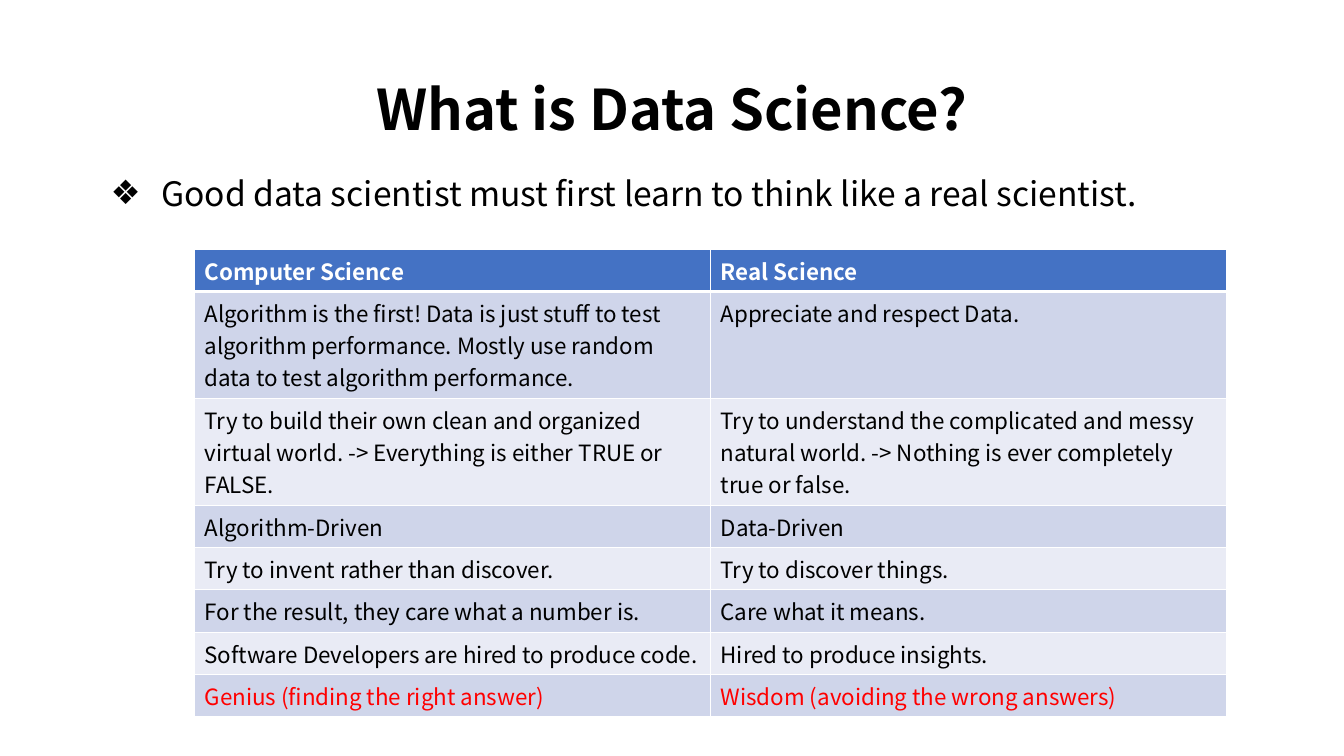
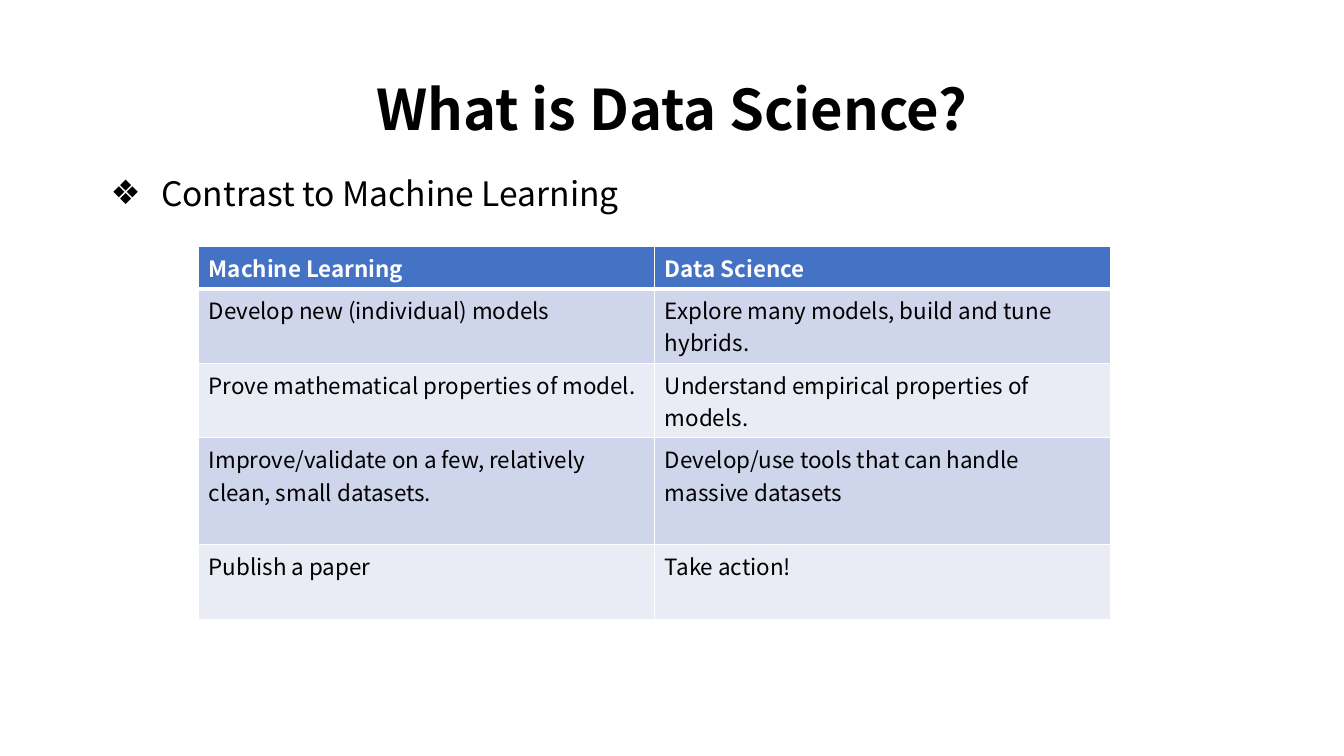
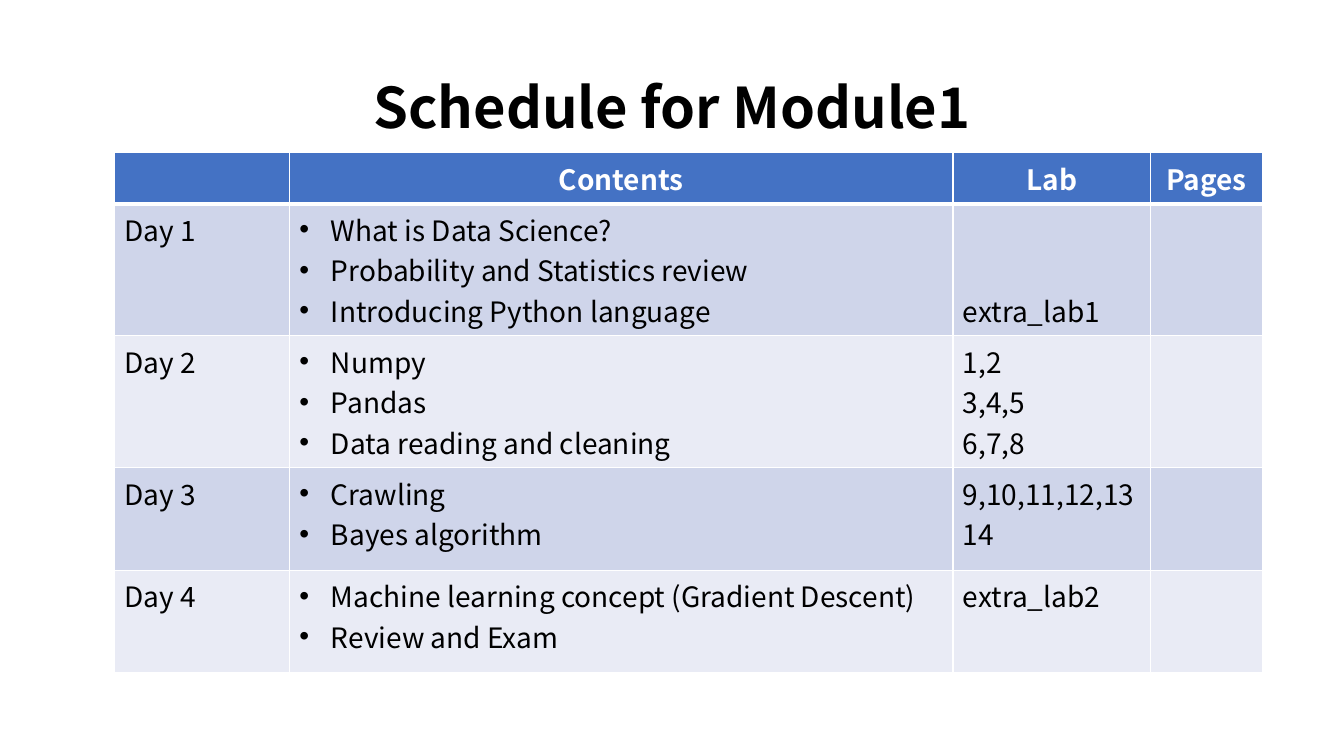
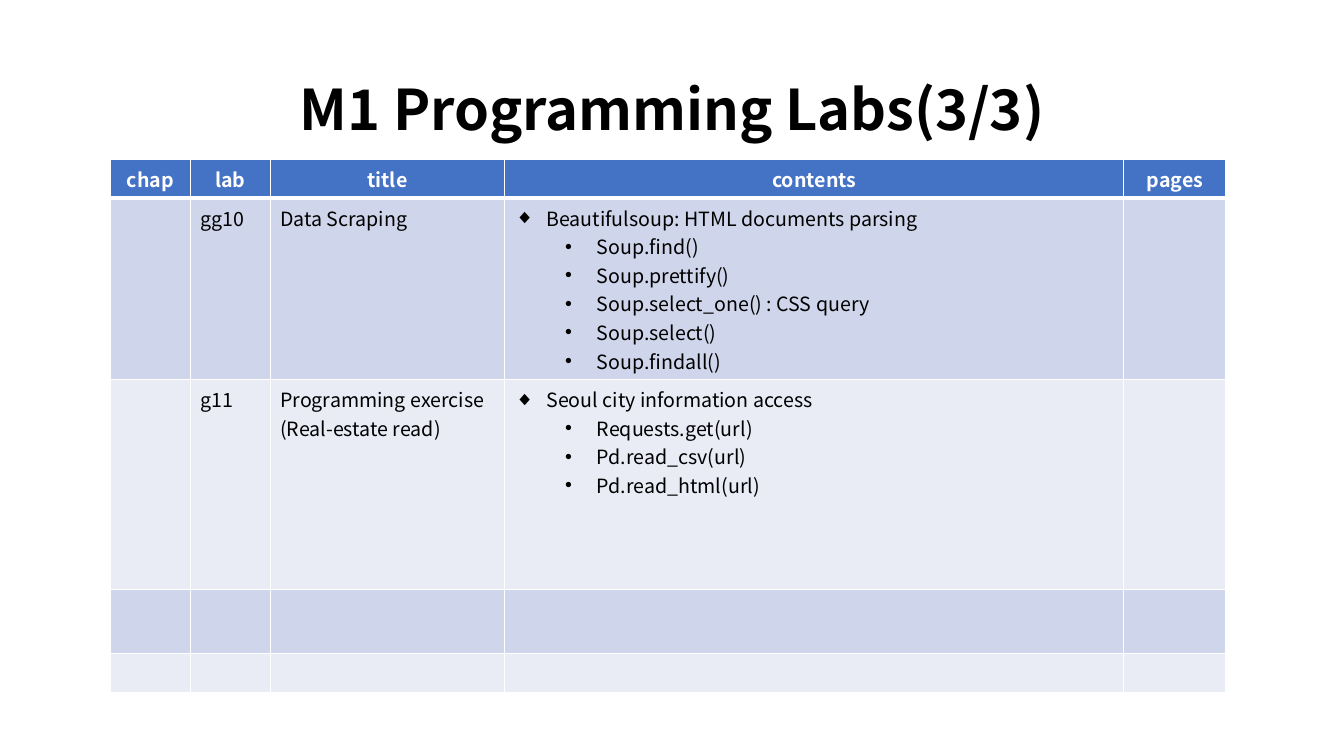
from dataclasses import dataclass

from lxml import etree
from pptx import Presentation
from pptx.dml.color import RGBColor
from pptx.enum.text import MSO_ANCHOR, MSO_AUTO_SIZE, PP_ALIGN
from pptx.oxml.ns import qn
from pptx.util import Pt

LEFT, CENTER = PP_ALIGN.LEFT, PP_ALIGN.CENTER
TOP, BOTTOM = MSO_ANCHOR.TOP, MSO_ANCHOR.BOTTOM
NO_FIT = MSO_AUTO_SIZE.NONE

FONT = "Noto Sans CJK KR"
BLACK, WHITE, RED = "000000", "FFFFFF", "FF0000"
HEAD = "4472C4"
BANDS = ("CFD5EA", "E9EBF5")
HANG = 22.5
DEEP = 58.5


@dataclass(frozen=True)
class Line:
    text: str
    mark: str = ""
    left: float = 0
    hang: float = HANG
    level: int = 0


@dataclass(frozen=True)
class Cell:
    lines: tuple[Line, ...]
    color: str = BLACK
    anchor: int = TOP


@dataclass(frozen=True)
class Grid:
    left: float
    top: float
    cols: tuple[float, ...]
    rows: tuple[float, ...]
    size: float
    heads: tuple[str, ...]
    body: tuple[tuple[Cell, ...], ...]
    align: int = LEFT


@dataclass(frozen=True)
class Page:
    title: str
    grid: Grid
    lead: str = ""
    top: float = 41.8


def plain(*texts: str, color: str = BLACK, anchor: int = TOP) -> Cell:
    return Cell(tuple(Line(text) for text in texts), color, anchor)


def dots(*texts: str) -> Cell:
    return Cell(tuple(Line(text, "•", HANG) for text in texts))


def topic(name: str, *calls: str) -> Cell:
    subs = tuple(Line(call, "•", DEEP, level=1) for call in calls)
    return Cell((Line(name, "◆", HANG), *subs))


def pairs(*rows: tuple[str, str]) -> tuple[tuple[Cell, ...], ...]:
    return tuple(tuple(plain(text) for text in row) for row in rows)


def paint(hue: str) -> RGBColor:
    return RGBColor.from_string(hue)


def bullet(para, line: Line) -> None:
    props = para._p.get_or_add_pPr()
    props.set("marL", str(Pt(line.left)))
    props.set("indent", str(-Pt(line.hang)))
    etree.SubElement(props, qn("a:buFont"), typeface="Arial")
    etree.SubElement(props, qn("a:buChar"), char=line.mark)


def write(frame, lines: tuple[Line, ...], *, size: float, color: str = BLACK,
          bold: bool = False, align: int = LEFT, pitch: float = 1,
          before: float = 0) -> None:
    for num, line in enumerate(lines):
        para = frame.add_paragraph() if num else frame.paragraphs[0]
        para.alignment = align
        para.line_spacing = pitch
        para.space_before = Pt(before)
        para.level = line.level
        if line.mark:
            bullet(para, line)
        if not line.text:
            etree.SubElement(para._p, qn("a:endParaRPr"), sz=str(int(size * 100)))
            continue
        run = para.add_run()
        run.text = line.text
        font = run.font
        font.name, font.size, font.bold = FONT, Pt(size), bold
        font.color.rgb = paint(color)


def edge(cell, base: float) -> None:
    props = cell._tc.get_or_add_tcPr()
    for side, width in (("L", 1), ("R", 1), ("T", 1), ("B", base)):
        rule = etree.SubElement(props, qn(f"a:ln{side}"), w=str(Pt(width)))
        fill = etree.SubElement(rule, qn("a:solidFill"))
        etree.SubElement(fill, qn("a:srgbClr"), val=WHITE)


def draw_grid(slide, grid: Grid) -> None:
    shape = slide.shapes.add_table(
        len(grid.rows), len(grid.cols), Pt(grid.left), Pt(grid.top),
        Pt(sum(grid.cols)), Pt(sum(grid.rows)))
    table = shape.table
    for col, width in zip(table.columns, grid.cols):
        col.width = Pt(width)
    for row, height in zip(table.rows, grid.rows):
        row.height = Pt(height)
    heads = tuple(plain(text, color=WHITE) for text in grid.heads)
    for num, items in enumerate((heads, *grid.body)):
        top = num == 0
        for col, item in enumerate(items):
            cell = table.cell(num, col)
            edge(cell, 3 if top else 1)
            cell.fill.solid()
            cell.fill.fore_color.rgb = paint(HEAD if top else BANDS[(num - 1) % 2])
            cell.vertical_anchor = item.anchor
            write(cell.text_frame, item.lines, size=grid.size, color=item.color,
                  bold=top, align=grid.align if top else LEFT)


def draw_page(deck, page: Page) -> None:
    slide = deck.slides.add_slide(deck.slide_layouts[5])
    title = slide.shapes.title
    title.left, title.top = Pt(120), Pt(page.top)
    title.width, title.height = Pt(720), Pt(63.4)
    frame = title.text_frame
    frame.auto_size = NO_FIT
    frame.vertical_anchor = BOTTOM
    write(frame, (Line(page.title),), size=40, bold=True, align=CENTER, pitch=0.9)
    if page.lead:
        box = slide.shapes.add_textbox(Pt(72), Pt(123), Pt(824.4), Pt(351.4))
        box.text_frame.word_wrap = True
        write(box.text_frame, (Line(page.lead, "❖", 36, 36),), size=24,
              pitch=0.9, before=10)
    draw_grid(slide, page.grid)


NONE = plain("")

PAGES = (
    Page(
        "What is Data Science?",
        Grid(
            139, 178, (368.6,) * 2, (30.2, 76.4, 76.4) + (30.2,) * 5, 16,
            ("Computer Science", "Real Science"),
            pairs(
                ("Algorithm is the first! Data is just stuff to test algorithm "
                 "performance. Mostly use random data to test algorithm performance.",
                 "Appreciate and respect Data."),
                ("Try to build their own clean and organized virtual world. -> "
                 "Everything is either TRUE or FALSE.",
                 "Try to understand the complicated and messy natural world. -> "
                 "Nothing is ever completely true or false."),
                ("Algorithm-Driven", "Data-Driven"),
                ("Try to invent rather than discover.", "Try to discover things."),
                ("For the result, they care what a number is.", "Care what it means."),
                ("Software Developers are hired to produce code.",
                 "Hired to produce insights."),
            ) + ((plain("Genius (finding the right answer)", color=RED),
                  plain("Wisdom (avoiding the wrong answers)", color=RED)),),
        ),
        "Good data scientist must first learn to think like a real scientist.",
    ),
    Page(
        "What is Data Science?",
        Grid(
            142, 176, (325.8,) * 2, (30.2, 53.3, 53.3, 76.4, 53.3), 16,
            ("Machine Learning", "Data Science"),
            pairs(
                ("Develop new (individual) models",
                 "Explore many models, build and tune hybrids."),
                ("Prove mathematical properties of model.",
                 "Understand empirical properties of models."),
                ("Improve/validate on a few, relatively clean, small datasets.",
                 "Develop/use tools that can handle massive datasets"),
                ("Publish a paper", "Take action!"),
            ),
        ),
        "Contrast to Machine Learning",
    ),
    Page(
        "Schedule for Module1",
        Grid(
            81.7, 109, (125, 474, 141.2, 79.8), (36.5, 94.2, 94.2, 73.3, 73.3), 20,
            ("", "Contents", "Lab", "Pages"),
            (
                (plain("Day 1"),
                 dots("What is Data Science?", "Probability and Statistics review",
                      "Introducing Python language"),
                 plain("extra_lab1", anchor=BOTTOM), NONE),
                (plain("Day 2"), dots("Numpy", "Pandas", "Data reading and cleaning"),
                 plain("1,2", "3,4,5", "6,7,8"), NONE),
                (plain("Day 3"), dots("Crawling", "Bayes algorithm"),
                 plain("9,10,11,12,13", "14"), NONE),
                (plain("Day 4"),
                 dots("Machine learning concept (Gradient Descent)", "Review and Exam"),
                 plain("extra_lab2"), NONE),
            ),
            CENTER,
        ),
        top=40.5,
    ),
    Page(
        "M1 Programming Labs(3/3)",
        Grid(
            79, 114, (57, 57, 167.6, 442.2, 73), (27.4, 129.6, 150, 45.6, 27.5), 14,
            ("chap", "lab", "title", "contents", "pages"),
            (
                (NONE, plain("gg10"), plain("Data Scraping"),
                 topic("Beautifulsoup: HTML documents parsing", "Soup.find()",
                       "Soup.prettify()", "Soup.select_one() : CSS query",
                       "Soup.select()", "Soup.findall()"), NONE),
                (NONE, plain("g11"),
                 plain("Programming exercise", "(Real-estate read)"),
                 topic("Seoul city information access", "Requests.get(url)",
                       "Pd.read_csv(url)", "Pd.read_html(url)"), NONE),
                (NONE,) * 5,
                (NONE,) * 5,
            ),
            CENTER,
        ),
    ),
)


def main() -> None:
    deck = Presentation()
    deck.slide_width, deck.slide_height = Pt(960), Pt(540)
    for page in PAGES:
        draw_page(deck, page)
    deck.save("out.pptx")


if __name__ == "__main__":
    main()
